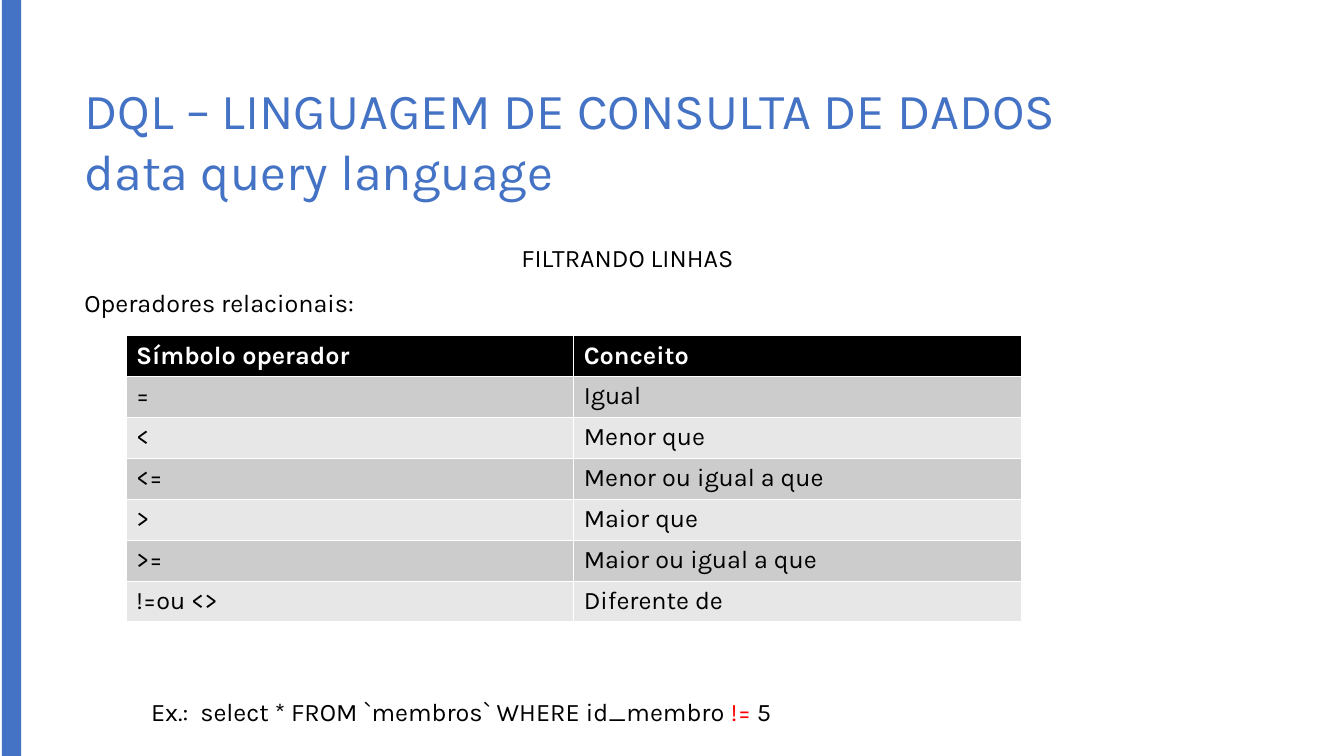
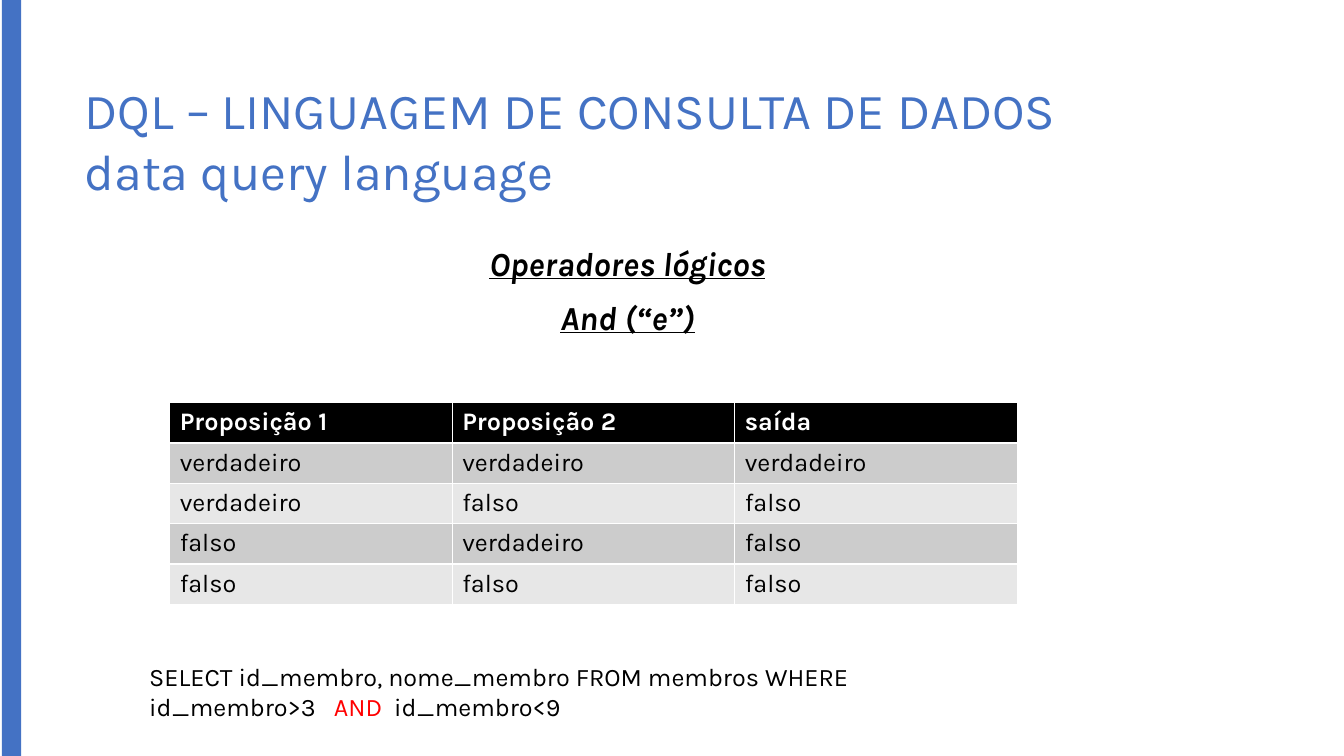
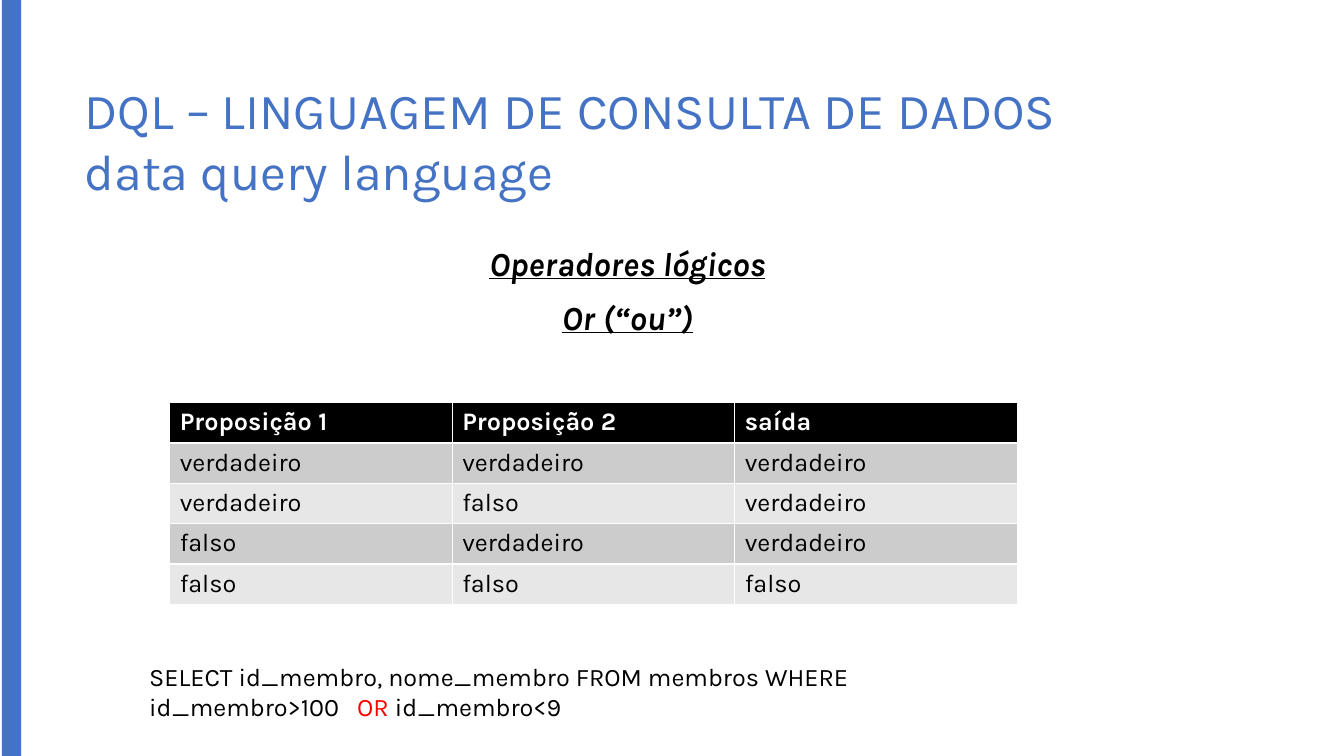
from pptx import Presentation
from pptx.dml.color import RGBColor
from pptx.enum.shapes import MSO_SHAPE
from pptx.enum.text import MSO_ANCHOR, PP_ALIGN
from pptx.util import Pt

RECT = MSO_SHAPE.RECTANGLE
MIDDLE = MSO_ANCHOR.MIDDLE
LEFT, CENTER = PP_ALIGN.LEFT, PP_ALIGN.CENTER

BLUE = RGBColor(0x44, 0x72, 0xC4)
BLACK = RGBColor(0x00, 0x00, 0x00)
WHITE = RGBColor(0xFF, 0xFF, 0xFF)
RED = RGBColor(0xFF, 0x00, 0x00)
DARK_GRAY = RGBColor(0xCC, 0xCC, 0xCC)
LIGHT_GRAY = RGBColor(0xE7, 0xE7, 0xE7)
FONT = "Karla"

TITLE = "DQL – LINGUAGEM DE CONSULTA DE DADOS\vdata query language"
V, F = "verdadeiro", "falso"
PROPOSITIONS = ["Proposição 1", "Proposição 2", "saída"]
SELECT = "SELECT id_membro, nome_membro FROM membros WHERE"

SLIDES = [
    {
        "heading": [("FILTRANDO LINHAS", CENTER), ("Operadores relacionais:", LEFT)],
        "heading_size": 18,
        "emphasis": False,
        "table_box": (90, 239.9, 639.6),
        "row_height": 29.2,
        "rows": [
            ["Símbolo operador", "Conceito"],
            ["=", "Igual"],
            ["<", "Menor que"],
            ["<=", "Menor ou igual a que"],
            [">", "Maior que"],
            [">=", "Maior ou igual a que"],
            ["!=ou <>", "Diferente de"],
        ],
        "example_at": (100.8, 494),
        "example": [[("Ex.:  select * FROM `membros` WHERE id_membro", BLACK),
                     (" !=", RED), (" 5", BLACK)]],
    },
]
for heading, outputs, condition in [
    ("And (“e”)", [V, F, F, F], ("id_membro>3   ", "AND  ", "id_membro<9")),
    ("Or (“ou”)", [V, V, V, F], ("id_membro>100   ", "OR ", "id_membro<9")),
]:
    inputs = [(V, V), (V, F), (F, V), (F, F)]
    SLIDES.append({
        "heading": [("Operadores lógicos", CENTER), (heading, CENTER)],
        "heading_size": 24,
        "emphasis": True,
        "table_box": (121.2, 287.6, 605.4),
        "row_height": 28,
        "rows": [PROPOSITIONS] + [[*pair, out] for pair, out in zip(inputs, outputs)],
        "example_at": (99.5, 468.7),
        "example": [[(SELECT, BLACK)], list(zip(condition, (BLACK, RED, BLACK)))],
    })


def set_font(font, size, color, bold=False):
    font.name = FONT
    font.size = Pt(size)
    font.color.rgb = color
    font.bold = bold


def add_text_frame(s, x, y, w, h):
    tf = s.shapes.add_textbox(Pt(x), Pt(y), Pt(w), Pt(h)).text_frame
    tf.word_wrap = True
    return tf


prs = Presentation()
prs.slide_width, prs.slide_height = Pt(960), Pt(540)

for data in SLIDES:
    s = prs.slides.add_slide(prs.slide_layouts[6])

    band = s.shapes.add_shape(RECT, Pt(1.4), Pt(0), Pt(13.7), Pt(540))
    band.shadow.inherit = False
    band.fill.solid()
    band.fill.fore_color.rgb = BLUE
    band.line.fill.background()

    tf = add_text_frame(s, 53.3, 48.2, 833, 103.7)
    tf.vertical_anchor = MIDDLE
    p = tf.paragraphs[0]
    p.text = TITLE
    set_font(p.font, 36, BLUE)

    tf = add_text_frame(s, 53.3, 169.9, 789.8, 80)
    for i, (text, align) in enumerate(data["heading"]):
        p = tf.add_paragraph() if i else tf.paragraphs[0]
        p.text = text
        p.alignment = align
        p.space_before = Pt(10)
        set_font(p.font, data["heading_size"], BLACK, data["emphasis"])
        p.font.italic = data["emphasis"]
        p.font.underline = data["emphasis"]

    rows = data["rows"]
    x, y, w = data["table_box"]
    row_height = data["row_height"]
    table = s.shapes.add_table(len(rows), len(rows[0]), Pt(x), Pt(y),
                               Pt(w), Pt(row_height * len(rows))).table
    for i, row in enumerate(rows):
        table.rows[i].height = Pt(row_height)
        header = i == 0
        fill = BLACK if header else DARK_GRAY if i % 2 else LIGHT_GRAY
        for j, text in enumerate(row):
            cell = table.cell(i, j)
            cell.fill.solid()
            cell.fill.fore_color.rgb = fill
            p = cell.text_frame.paragraphs[0]
            p.text = text
            set_font(p.font, 18, WHITE if header else BLACK, header)

    x, y = data["example_at"]
    tf = add_text_frame(s, x, y, 713, 29 * len(data["example"]))
    for i, runs in enumerate(data["example"]):
        p = tf.add_paragraph() if i else tf.paragraphs[0]
        set_font(p.font, 18, BLACK)
        for text, color in runs:
            r = p.add_run()
            r.text = text
            r.font.color.rgb = color

prs.save("out.pptx")
